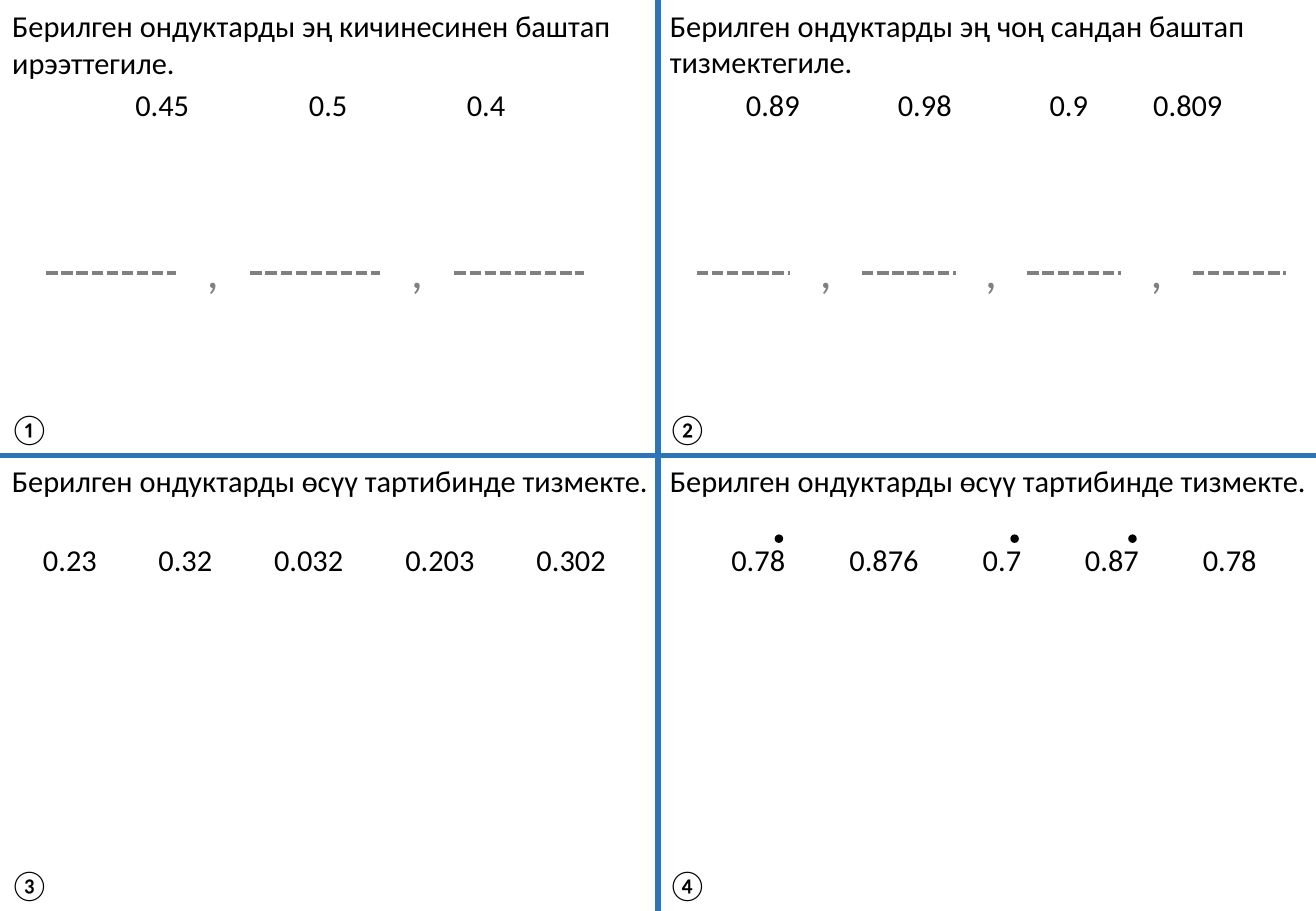
from lxml.etree import SubElement
from pptx import Presentation
from pptx.dml.color import RGBColor
from pptx.enum.dml import MSO_LINE
from pptx.enum.shapes import MSO_CONNECTOR, MSO_SHAPE
from pptx.enum.text import MSO_ANCHOR, MSO_AUTO_SIZE, PP_ALIGN
from pptx.oxml.ns import qn
from pptx.util import Inches, Pt

CELL = Inches(0.01)
COLUMNS, ROWS = 1083, 750
CARD_COLUMNS, CARD_ROWS = COLUMNS / 2, ROWS / 2
BLACK, GREY, BLUE = "000000", "808080", "2E75B6"
ASCENDING = ["Берилген ондуктарды өсүү тартибинде тизмекте."]

CARDS = [
    {
        "prompt": ["Берилген ондуктарды эң кичинесинен баштап", "ирээттегиле."],
        "marker": "①", "decimals": ["0.45", "0.5", "0.4"],
        "start": 101, "gaps": [78, 78],
        "blanks": {"count": 3, "start": 38, "length": 107, "gap": 61},
    },
    {
        "prompt": ["Берилген ондуктарды эң чоң сандан баштап", "тизмектегиле."],
        "marker": "②", "decimals": ["0.89", "0.98", "0.9", "0.809"],
        "start": 62, "gaps": [60, 60, 33],
        "blanks": {"count": 4, "start": 32, "length": 77, "gap": 59},
    },
    {
        "prompt": ASCENDING, "marker": "③",
        "decimals": ["0.23", "0.32", "0.032", "0.203", "0.302"],
        "start": 25, "gaps": [30] * 4,
    },
    {
        "prompt": ASCENDING, "marker": "④",
        "decimals": ["0.78", "0.876", "0.7", "0.87", "0.78"],
        "start": 50, "gaps": [32] * 4, "recurring": {0, 2, 3},
    },
]


def color(hex_code):
    """Turn a hex string into a colour."""
    return RGBColor.from_string(hex_code)


def cells(*counts):
    """Turn grid counts into lengths."""
    return [int(count * CELL) for count in counts]


def apply(target, formats):
    """Set every attribute listed in a format dict."""
    for attribute, value in formats.items():
        setattr(target, attribute, value)


def write(holder, box, lines, size=18, ink=BLACK, align=PP_ALIGN.LEFT, wrap=True):
    """Place a text holder in its box and fill it with paragraphs."""
    apply(holder, dict(zip(("left", "top", "width", "height"), cells(*box))))
    frame = holder.text_frame
    apply(frame, {
        "text": "\n".join(lines), "word_wrap": wrap,
        "auto_size": MSO_AUTO_SIZE.SHAPE_TO_FIT_TEXT,
        "vertical_anchor": MSO_ANCHOR.TOP, "margin_right": Inches(0.1 if not wrap else 0),
    })
    for paragraph in frame.paragraphs:
        paragraph.alignment = align
        apply(paragraph.font, {"size": Pt(size), "name": "Calibri"})
        paragraph.font.color.rgb = color(ink)


def label(slide, box, *content, **formats):
    """Add a text box and write in it."""
    write(slide.shapes.add_textbox(0, 0, 0, 0), box, *content, **formats)


def rule(slide, ends, ink, weight, dash=None):
    """Draw a straight line between two grid points."""
    stroke = slide.shapes.add_connector(MSO_CONNECTOR.STRAIGHT, *cells(*ends))
    stroke.line.color.rgb = color(ink)
    apply(stroke.line, {"width": Pt(weight), "dash_style": dash})
    SubElement(stroke._element.spPr, qn("a:effectLst"))


def decimal_row(slide, left, top, decimals, gaps, recurring):
    """Lay out the decimals, with a dot over each recurring last digit."""
    for index, (decimal, gap) in enumerate(zip(decimals, [*gaps, 0])):
        width = 13 * (len(decimal) + 1)
        label(slide, (left, top, width, 40), [decimal],
              align=PP_ALIGN.CENTER, wrap=False)
        if index in recurring:
            dot = slide.shapes.add_shape(
                MSO_SHAPE.OVAL, *cells(left + width - 19, top - 1, 7, 7))
            dot.shadow.inherit = False
            dot.fill.solid()
            dot.fill.fore_color.rgb = color(BLACK)
            dot.line.fill.background()
        left += width + gap


def answer_row(slide, left, top, count, start, length, gap):
    """Draw the dashed answer blanks with commas between them."""
    for index in range(count):
        begin = left + start + index * (length + gap)
        end = begin + length
        rule(slide, (begin, top, end, top), GREY, 2.25, MSO_LINE.SQUARE_DOT)
        if index < count - 1:
            label(slide, (end + (gap - 30) / 2, top - 31, 30, 57), [","],
                  size=28, ink=GREY, wrap=False)


def question_card(slide, left, top, card, heading):
    """Build one question card from its top left corner."""
    prompt = card["prompt"]
    heading_box = (left, top + 1, CARD_COLUMNS, 9 + 31 * len(prompt))
    if heading is None:
        label(slide, heading_box, prompt)
    else:
        write(heading, heading_box, prompt)
    label(slide, (left - 2, top + 333, 54, 40), [card["marker"]])
    decimal_row(slide, left + card["start"], top + 66, card["decimals"],
                card["gaps"], card.get("recurring", ()))
    if "blanks" in card:
        answer_row(slide, left, top + 225, **card["blanks"])


def main():
    """Build the four-question slide."""
    deck = Presentation()
    deck.slide_width, deck.slide_height = cells(COLUMNS, ROWS)
    slide = deck.slides.add_slide(deck.slide_layouts[5])
    rule(slide, (CARD_COLUMNS, 0, CARD_COLUMNS, ROWS), BLUE, 3)
    rule(slide, (COLUMNS, CARD_ROWS, 0, CARD_ROWS), BLUE, 3)
    for index, card in enumerate(CARDS):
        row, column = divmod(index, 2)
        heading = slide.shapes.title if index == 0 else None
        question_card(slide, column * CARD_COLUMNS, row * CARD_ROWS, card, heading)
    deck.save("out.pptx")


if __name__ == "__main__":
    main()
